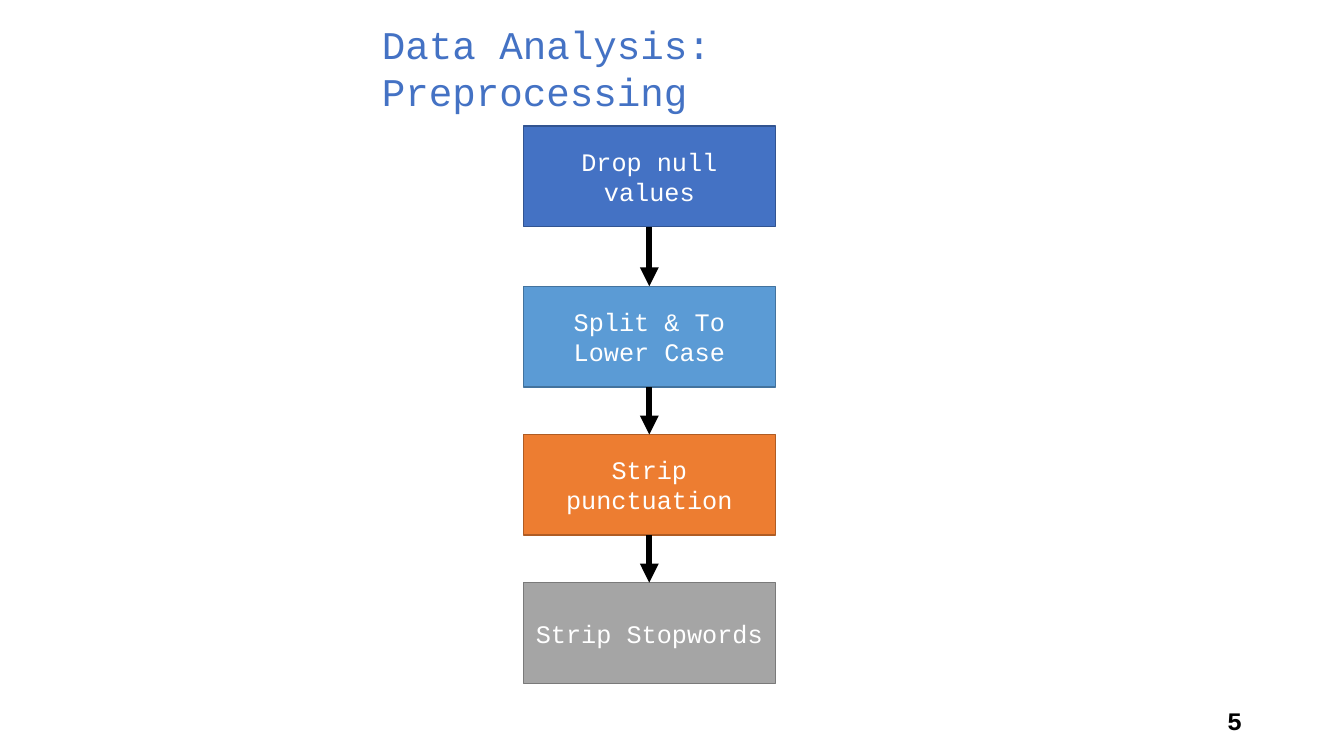
from dataclasses import dataclass
from itertools import pairwise

from lxml.etree import SubElement
from pptx import Presentation
from pptx.dml.color import RGBColor
from pptx.enum.shapes import MSO_CONNECTOR, MSO_SHAPE
from pptx.enum.text import MSO_ANCHOR, MSO_AUTO_SIZE, PP_ALIGN
from pptx.oxml.ns import qn
from pptx.shapes.autoshape import Shape
from pptx.slide import Slide
from pptx.util import Inches, Length, Pt


@dataclass(frozen=True)
class Theme:
    font: str = "Courier New"
    black: str = "000000"
    white: str = "FFFFFF"
    blue: str = "4472C4"
    blue_edge: str = "325491"
    sky: str = "5B9BD5"
    sky_edge: str = "43739E"
    orange: str = "ED7D31"
    orange_edge: str = "AF5C24"
    gray: str = "A5A5A5"
    gray_edge: str = "7A7A7A"
    title_size: int = 28
    body_size: int = 18
    edge_width: float = 1
    arrow_width: float = 4.5


@dataclass(frozen=True)
class Area:
    """A rectangle measured in grid columns and rows."""
    column: float
    row: float
    columns: float
    rows: float

    def lengths(self) -> tuple[Length, ...]:
        return tuple(grid(n) for n in (self.column, self.row, self.columns, self.rows))


@dataclass(frozen=True)
class Step:
    label: str
    fill: str
    edge: str
    gap_after: float = 0.94


THEME = Theme()
CELL = 0.5  # inches, for columns and rows alike
STEP_COLUMN, FIRST_ROW = 10.38, 2.5
STEP_COLUMNS, STEP_ROWS = 5, 2
STEPS = [
    Step("Drop null values", THEME.blue, THEME.blue_edge, gap_after=1.18),
    Step("Split & To Lower Case", THEME.sky, THEME.sky_edge),
    Step("Strip punctuation", THEME.orange, THEME.orange_edge),
    Step("Strip Stopwords", THEME.gray, THEME.gray_edge),
]


def grid(cells: float) -> Length:
    return Inches(cells * CELL)


def color(code: str) -> RGBColor:
    return RGBColor.from_string(code)


def write(box: Shape, text: str, ink: str, size: int = THEME.body_size,
          align: PP_ALIGN = PP_ALIGN.LEFT, bold: bool = False, **frame_format) -> None:
    frame = box.text_frame
    for name, value in {"word_wrap": True, **frame_format}.items():
        setattr(frame, name, value)
    para = frame.paragraphs[0]
    para.alignment = align
    span = para.add_run()
    span.text = text
    for name, value in {"name": THEME.font, "size": Pt(size), "bold": bold}.items():
        setattr(span.font, name, value)
    span.font.color.rgb = color(ink)


def draw_step(page: Slide, step: Step, area: Area) -> None:
    box = page.shapes.add_shape(MSO_SHAPE.RECTANGLE, *area.lengths())
    box.shadow.inherit = False
    box.fill.solid()
    box.fill.fore_color.rgb = color(step.fill)
    box.line.color.rgb = color(step.edge)
    box.line.width = Pt(THEME.edge_width)
    write(box, step.label, THEME.white, align=PP_ALIGN.CENTER,
          vertical_anchor=MSO_ANCHOR.MIDDLE)


def draw_arrow(page: Slide, upper: Area, lower: Area) -> None:
    center = grid(upper.column + upper.columns / 2)
    arrow = page.shapes.add_connector(
        MSO_CONNECTOR.STRAIGHT, center, grid(upper.row + upper.rows),
        center, grid(lower.row))
    arrow.line.color.rgb = color(THEME.black)
    arrow.line.width = Pt(THEME.arrow_width)
    SubElement(arrow.line._get_or_add_ln(), qn("a:tailEnd"), type="triangle")
    SubElement(arrow._element.spPr, qn("a:effectLst"))


def stack(steps: list[Step]) -> list[Area]:
    """Place the steps below one another, each after the gap of the one above."""
    areas, row = [], FIRST_ROW
    for step in steps:
        areas.append(Area(STEP_COLUMN, row, STEP_COLUMNS, STEP_ROWS))
        row += STEP_ROWS + step.gap_after
    return areas


def main() -> None:
    deck = Presentation()
    deck.slide_width, deck.slide_height = Inches(13.33), Inches(7.5)
    page = deck.slides.add_slide(deck.slide_layouts[6])

    number = page.shapes.add_textbox(*Area(18.84, 13.9, 6, 0.8).lengths())
    write(number, "5", THEME.black, align=PP_ALIGN.RIGHT, bold=True,
          vertical_anchor=MSO_ANCHOR.MIDDLE)
    title = page.shapes.add_textbox(*Area(7.38, 0.3, 12.48, 1.14).lengths())
    write(title, "Data Analysis: Preprocessing", THEME.blue, THEME.title_size,
          auto_size=MSO_AUTO_SIZE.SHAPE_TO_FIT_TEXT)

    areas = stack(STEPS)
    for step, area in zip(STEPS, areas):
        draw_step(page, step, area)
    for upper, lower in pairwise(areas):
        draw_arrow(page, upper, lower)

    deck.save("out.pptx")


if __name__ == "__main__":
    main()
